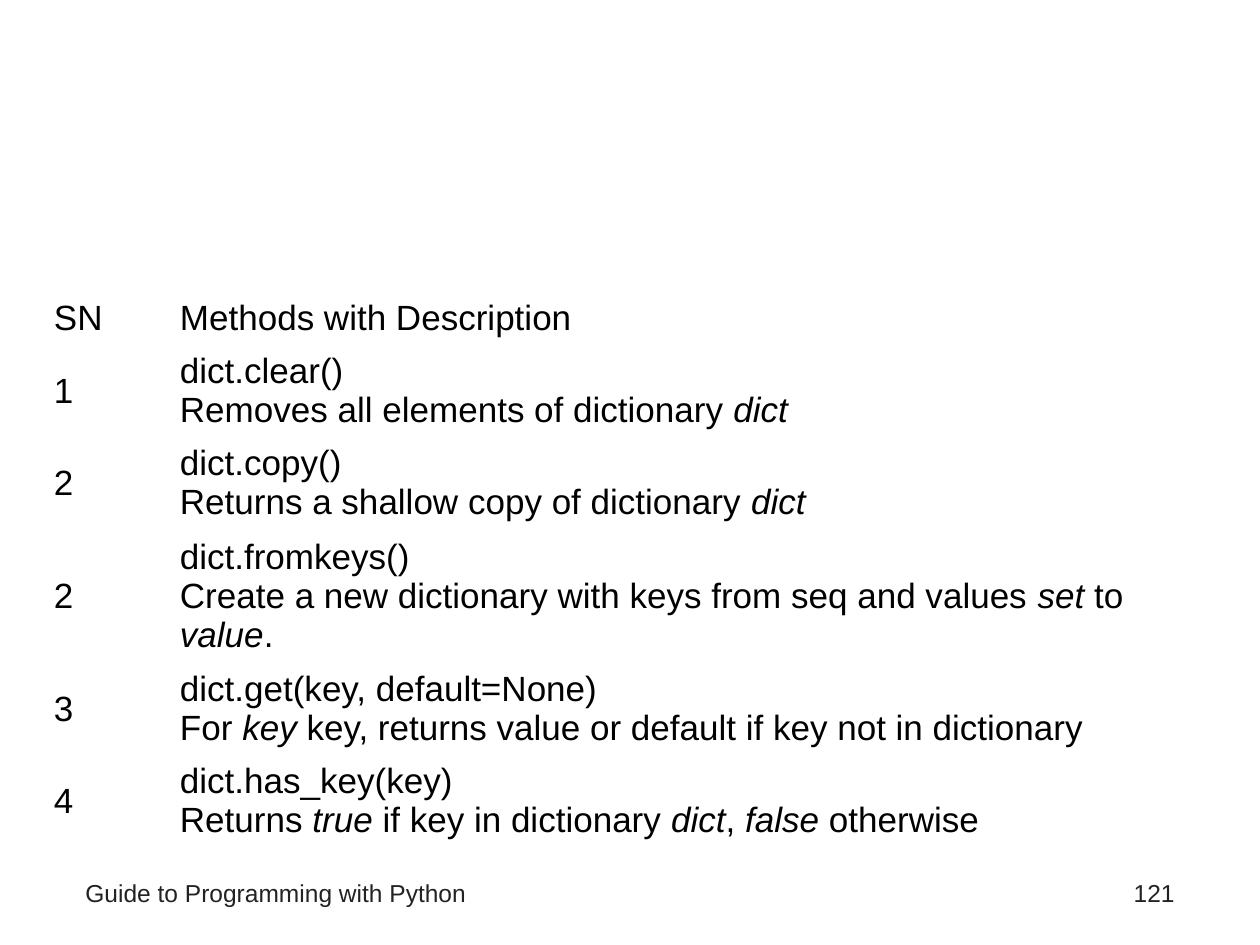
from pptx import Presentation
from pptx.dml.color import RGBColor
from pptx.enum.text import MSO_ANCHOR, PP_ALIGN
from pptx.oxml.ns import qn
from pptx.util import Pt

MIDDLE = MSO_ANCHOR.MIDDLE
LEFT, RIGHT = PP_ALIGN.LEFT, PP_ALIGN.RIGHT
PX = 914400 // 126
FONT = "Arial"
NO_STYLE_NO_GRID = "{2D5ABB26-0587-4C30-8999-92F81FD0307C}"

# Content: asterisks enclose italic words
HEADINGS = ("SN", "Methods with Description")
METHODS = [
    ("1", "dict.clear()", "Removes all elements of dictionary *dict*"),
    ("2", "dict.copy()", "Returns a shallow copy of dictionary *dict*"),
    ("2", "dict.fromkeys()",
     "Create a new dictionary with keys from seq and values *set* to *value*."),
    ("3", "dict.get(key, default=None)",
     "For *key* key, returns value or default if key not in dictionary"),
    ("4", "dict.has_key(key)",
     "Returns *true* if key in dictionary *dict*, *false* otherwise"),
]
# Footer: text, left, width, alignment
FOOTER = [
    ("Guide to Programming with Python", 73, 809, LEFT),
    ("121", 903, 284, RIGHT),
]
FOOTER_TOP, FOOTER_HEIGHT = 872, 53
TABLE_LEFT, TABLE_TOP = 48, 292
COLUMN_WIDTHS = (126, 1028)
ROW_HEIGHTS = (53, 91, 91, 132, 91, 91)
SIDE_MARGIN, END_MARGIN = 6, 4


def px(length):
    return length * PX


def set_font(paragraph, size, color):
    paragraph.font.name = FONT
    paragraph.font.size = Pt(size)
    paragraph.font.color.rgb = RGBColor.from_string(color)


def add_marked_text(paragraph, text):
    for index, part in enumerate(text.split("*")):
        if part:
            run = paragraph.add_run()
            run.text = part
            if index % 2:
                run.font.italic = True


def fill_cell(cell, lines):
    cell.fill.background()
    cell.vertical_anchor = MIDDLE
    cell.margin_left = cell.margin_right = px(SIDE_MARGIN)
    cell.margin_top = cell.margin_bottom = px(END_MARGIN)
    paragraph = cell.text_frame.paragraphs[0]
    set_font(paragraph, 20, "000000")
    for index, line in enumerate(lines):
        if index:
            paragraph.add_line_break()
        add_marked_text(paragraph, line)


prs = Presentation()
prs.slide_width, prs.slide_height = px(1260), px(945)
slide = prs.slides.add_slide(prs.slide_layouts[6])

# Footer and page number
for text, left, width, alignment in FOOTER:
    box = slide.shapes.add_textbox(px(left), px(FOOTER_TOP), px(width), px(FOOTER_HEIGHT))
    box.text_frame.word_wrap = True
    paragraph = box.text_frame.paragraphs[0]
    paragraph.text = text
    paragraph.alignment = alignment
    set_font(paragraph, 14, "222222")

# Table of dictionary methods
table_frame = slide.shapes.add_table(
    len(ROW_HEIGHTS), len(COLUMN_WIDTHS), px(TABLE_LEFT), px(TABLE_TOP),
    px(sum(COLUMN_WIDTHS)), px(sum(ROW_HEIGHTS)))
methods = table_frame.table
methods.first_row = methods.horz_banding = False
for style in table_frame.element.iter(qn("a:tableStyleId")):
    style.text = NO_STYLE_NO_GRID
for column, width in zip(methods.columns, COLUMN_WIDTHS):
    column.width = px(width)
for row, height in zip(methods.rows, ROW_HEIGHTS):
    row.height = px(height)
for row, (number, *description) in zip(methods.rows, [HEADINGS, *METHODS]):
    fill_cell(row.cells[0], [number])
    fill_cell(row.cells[1], description)

prs.save("out.pptx")
